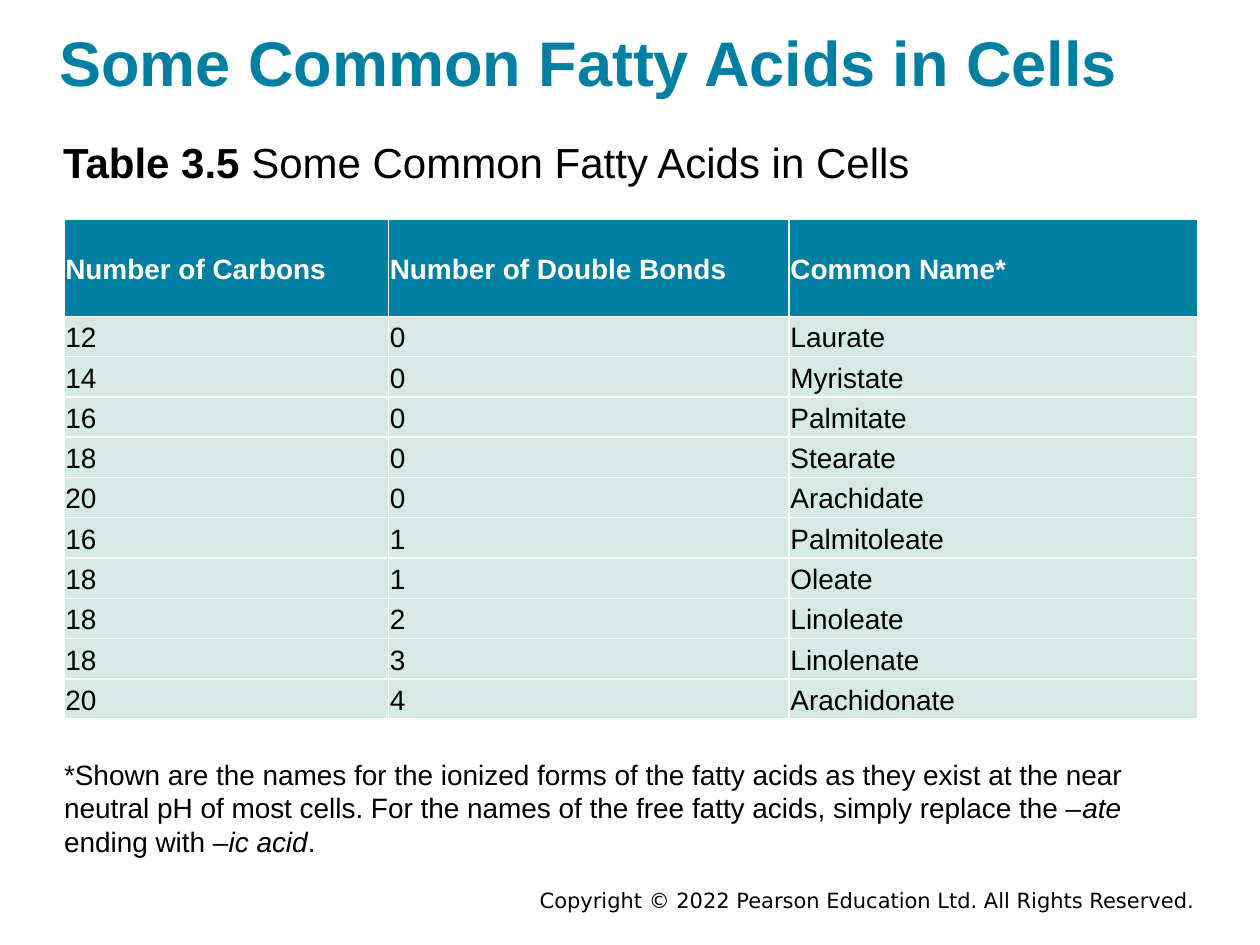
from dataclasses import dataclass

from lxml.etree import SubElement
from pptx import Presentation
from pptx.dml.color import RGBColor
from pptx.enum.text import MSO_ANCHOR, MSO_AUTO_SIZE, PP_ALIGN
from pptx.oxml.ns import qn
from pptx.util import Pt


@dataclass(frozen=True)
class Theme:
    teal: str = "007FA3"
    mint: str = "D4EAE4"
    black: str = "000000"
    white: str = "FFFFFF"
    face: str = "Arial"
    foot: str = "DejaVu Sans"
    head: float = 36
    sub: float = 24
    body: float = 16
    small: float = 12


@dataclass(frozen=True)
class Run:
    text: str
    bold: bool = False
    italic: bool = False


@dataclass(frozen=True)
class Block:
    runs: tuple[Run, ...]
    box: tuple[float, float, float, float]
    size: float
    color: str = Theme.black
    face: str = Theme.face
    anchor: MSO_ANCHOR = MSO_ANCHOR.MIDDLE
    align: PP_ALIGN = PP_ALIGN.LEFT
    inset: float = 0


# Text blocks
TITLE = Block((Run("Some Common Fatty Acids in Cells", bold=True),),
              (34, 13.6, 648, 43.2), Theme.head, Theme.teal)
LABEL = Block((Run("Table 3.5 ", bold=True),
               Run("Some Common Fatty Acids in Cells")),
              (36, 74.2, 647.3, 36.7), Theme.sub)
NOTE = Block((Run("*Shown are the names for the ionized forms of the fatty "
                  "acids as they exist at the near neutral pH of most cells. "
                  "For the names of the free fatty acids, simply replace the –"),
              Run("ate", italic=True), Run(" ending with –"),
              Run("ic acid", italic=True), Run(".")),
             (36.6, 432.7, 625.7, 61.2), Theme.body, anchor=MSO_ANCHOR.TOP)
RIGHTS = Block((Run("Copyright © 2022 Pearson Education Ltd. "
                    "All Rights Reserved."),),
               (126, 506.2, 563.8, 15.8), Theme.small, face=Theme.foot,
               align=PP_ALIGN.RIGHT, inset=7.2)

# Table data
HEADS = ("Number of Carbons", "Number of Double Bonds", "Common Name*")
ACIDS = ((12, 0, "Laurate"), (14, 0, "Myristate"), (16, 0, "Palmitate"),
         (18, 0, "Stearate"), (20, 0, "Arachidate"), (16, 1, "Palmitoleate"),
         (18, 1, "Oleate"), (18, 2, "Linoleate"), (18, 3, "Linolenate"),
         (20, 4, "Arachidonate"))
COLS = (185.4, 229, 233.3)
TOP_ROW, ROW = 55.5, 23.04


def style(item, values: dict) -> None:
    for name, value in values.items():
        setattr(item, name, value)


def write(para, run: Run, size: float, color: str, face: str) -> None:
    part = para.add_run()
    part.text = run.text
    style(part.font, {"size": Pt(size), "name": face,
                      "bold": run.bold, "italic": run.italic})
    part.font.color.rgb = RGBColor.from_string(color)


def fill(shape, block: Block) -> None:
    sides = ("left", "top", "width", "height")
    style(shape, {side: Pt(n) for side, n in zip(sides, block.box)})
    frame = shape.text_frame
    style(frame, {"word_wrap": True, "auto_size": MSO_AUTO_SIZE.NONE,
                  "vertical_anchor": block.anchor,
                  "margin_left": Pt(block.inset), "margin_top": Pt(block.inset / 2),
                  "margin_right": Pt(block.inset),
                  "margin_bottom": Pt(block.inset / 2)})
    para = frame.paragraphs[0]
    # Plain paragraph without bullet or indent
    props = para._p.get_or_add_pPr()
    props.set("marL", "0")
    props.set("indent", "0")
    SubElement(props, qn("a:buNone"))
    style(para, {"alignment": block.align, "space_before": Pt(0)})
    for run in block.runs:
        write(para, run, block.size, block.color, block.face)


def draw_cell(cell, text: str, head: bool) -> None:
    cell.fill.solid()
    cell.fill.fore_color.rgb = RGBColor.from_string(
        Theme.teal if head else Theme.mint)
    style(cell, {"vertical_anchor": MSO_ANCHOR.MIDDLE,
                 "margin_left": Pt(0.75), "margin_top": Pt(0.75),
                 "margin_right": Pt(0.75), "margin_bottom": Pt(0)})
    para = cell.text_frame.paragraphs[0]
    style(para, {"line_spacing": 1.07, "space_after": Pt(8)})
    write(para, Run(text, bold=head), Theme.body,
          Theme.white if head else Theme.black, Theme.face)


def draw_table(slide) -> None:
    rows = (HEADS, *ACIDS)
    table = slide.shapes.add_table(
        len(rows), len(COLS), Pt(36.6), Pt(125.3), Pt(sum(COLS)),
        Pt(TOP_ROW + ROW * len(ACIDS))).table
    style(table, {"first_row": True, "horz_banding": False})
    for col, width in zip(table.columns, COLS):
        col.width = Pt(width)
    for r, row in enumerate(rows):
        table.rows[r].height = Pt(ROW if r else TOP_ROW)
        for c, value in enumerate(row):
            draw_cell(table.cell(r, c), str(value), r == 0)


def main() -> None:
    deck = Presentation()
    style(deck, {"slide_width": Pt(720), "slide_height": Pt(540)})
    # Layout with a title and two bodies
    slide = deck.slides.add_slide(deck.slide_layouts[3])
    for shape, block in zip(slide.placeholders, (TITLE, LABEL, NOTE)):
        fill(shape, block)
    draw_table(slide)
    # Copyright line
    fill(slide.shapes.add_textbox(0, 0, 0, 0), RIGHTS)
    deck.save("out.pptx")


if __name__ == "__main__":
    main()
